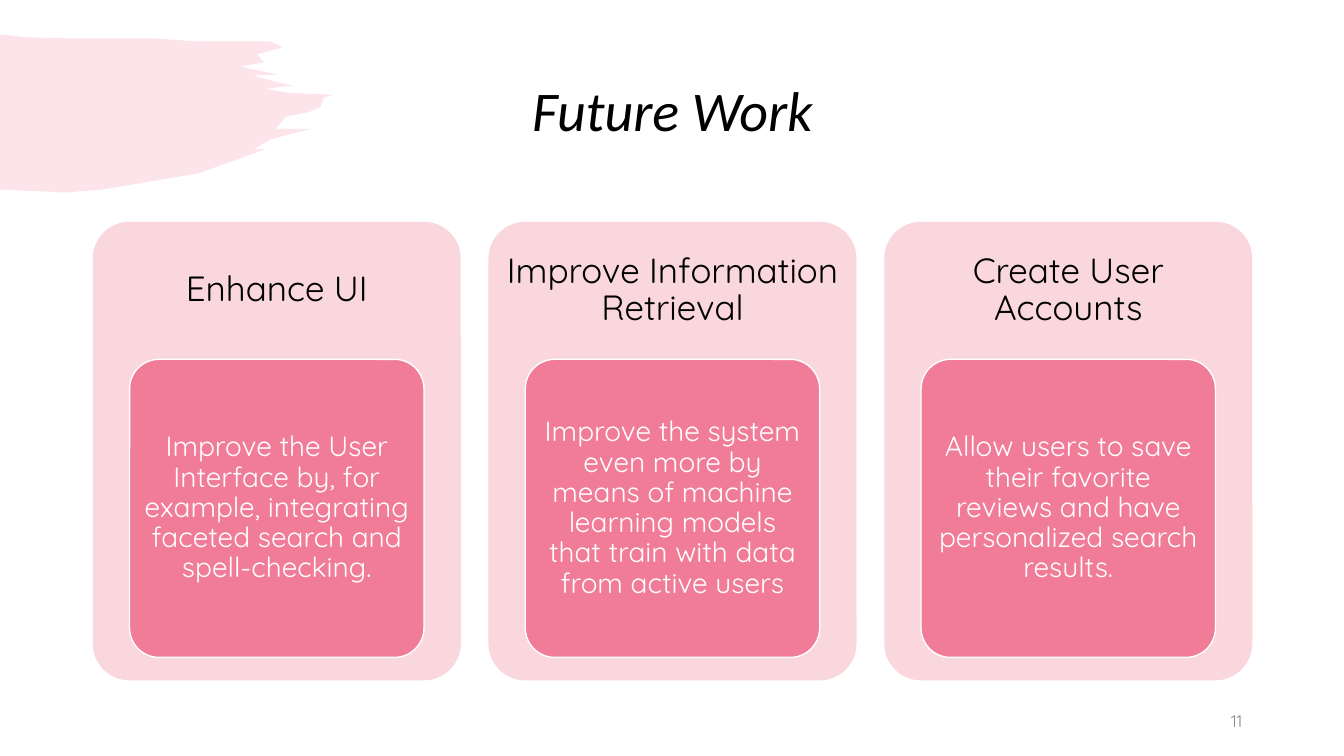
from lxml.etree import SubElement
from pptx import Presentation
from pptx.dml.color import RGBColor
from pptx.enum.shapes import MSO_SHAPE
from pptx.enum.text import MSO_ANCHOR, PP_ALIGN
from pptx.oxml.ns import qn
from pptx.util import Inches, Pt

COLORS = {"rose": "F07C98", "blush": "F9D7DD", "ink": "000000", "paper": "FFFFFF", "grey": "8C8C8C"}
BODY_FONT = "Quicksand"
WIDTH, HEIGHT = 13.33, 7.5
MARGIN, CONTENT_WIDTH = 0.92, 11.5
CARD_GAP = 0.275

CARDS = [
    ("Enhance UI",
     "Improve the User Interface by, for example, integrating faceted search and spell-checking."),
    ("Improve Information Retrieval",
     "Improve the system even more by means of machine\nlearning models that train with data from active users"),
    ("Create User Accounts",
     "Allow users to save their favorite reviews and have personalized search results."),
]

BRUSH_OUTLINE = [
    (0, 0.34), (0.25, 0.37), (0.66, 0.38), (1.51, 0.38), (1.94, 0.41), (2.68, 0.41), (2.8, 0.47),
    (2.55, 0.54), (2.62, 0.62), (2.38, 0.66), (2.75, 0.74), (2.51, 0.75), (2.73, 0.81), (2.9, 0.85),
    (2.63, 0.88), (2.85, 0.92), (3.3, 0.94), (3.21, 0.97), (3.18, 1.06), (3.07, 1.11), (2.83, 1.16),
    (2.74, 1.28), (3.08, 1.28), (2.69, 1.38), (2.52, 1.48), (2.63, 1.48), (1.97, 1.72), (1.02, 1.88),
    (0.65, 1.91), (0, 1.88),
]


def color(name):
    return RGBColor.from_string(COLORS[name])


def inches(box):
    return [Inches(length) for length in box]


def write(shape, text, size, ink, align=PP_ALIGN.CENTER, font=BODY_FONT, italic=False, inset=(0.1, 0.05), spacing=0.9):
    frame = shape.text_frame
    frame.word_wrap = True
    frame.vertical_anchor = MSO_ANCHOR.MIDDLE
    frame.margin_left = frame.margin_right = Inches(inset[0])
    frame.margin_top = frame.margin_bottom = Inches(inset[1])
    para = frame.paragraphs[0]
    para.text = text
    para.alignment = align
    para.line_spacing = spacing
    for span in para.runs:
        span.font.name = font
        span.font.size = Pt(size)
        span.font.italic = italic
        span.font.color.rgb = color(ink)


def add_panel(page, box, fill):
    panel = page.shapes.add_shape(MSO_SHAPE.ROUNDED_RECTANGLE, *inches(box))
    panel.adjustments[0] = 0.1
    panel.shadow.inherit = False
    panel.fill.solid()
    panel.fill.fore_color.rgb = color(fill)
    panel.line.fill.background()
    return panel


def add_brush_stroke(page):
    start, *outline = [inches(point) for point in BRUSH_OUTLINE]
    builder = page.shapes.build_freeform(*start)
    builder.add_line_segments(outline, close=True)
    brush = builder.convert_to_shape()
    brush.shadow.inherit = False
    brush.line.fill.background()
    brush.fill.solid()
    brush.fill.fore_color.rgb = color("rose")
    tint = brush.element.spPr.find(qn("a:solidFill"))[0]
    SubElement(tint, qn("a:alpha"), val="20000")


def add_card(page, box, heading, detail):
    left, top, width, height = box
    add_panel(page, box, "blush")
    header = page.shapes.add_textbox(*inches((left, top, width, 0.3 * height)))
    write(header, heading, 25, "ink", inset=(0.1, 0.1))
    inner = (left + 0.1 * width, top + 0.3 * height, 0.8 * width, 0.65 * height)
    panel = add_panel(page, inner, "rose")
    panel.line.color.rgb = color("paper")
    panel.line.width = Pt(1)
    write(panel, detail, 20, "paper", inset=(0.06, 0.04))


def add_card_row(page, box):
    left, top, width, height = box
    card_width = (width - CARD_GAP * (len(CARDS) - 1)) / len(CARDS)
    for index, (heading, detail) in enumerate(CARDS):
        card_left = left + index * (card_width + CARD_GAP)
        add_card(page, (card_left, top, card_width, height), heading, detail)


def build_future_work(deck):
    page = deck.slides.add_slide(deck.slide_layouts[6])
    add_brush_stroke(page)
    title = page.shapes.add_textbox(*inches((MARGIN, 0.4, CONTENT_WIDTH, 1.45)))
    write(title, "Future Work", 40, "ink", font="Calibri", italic=True)
    number = page.shapes.add_textbox(*inches((MARGIN + CONTENT_WIDTH - 3, 6.95, 3, 0.4)))
    write(number, "11", 12, "grey", align=PP_ALIGN.RIGHT, spacing=1.0)
    add_card_row(page, (MARGIN, 2.2, CONTENT_WIDTH, 4.55))


def main():
    deck = Presentation()
    deck.slide_width, deck.slide_height = inches((WIDTH, HEIGHT))
    build_future_work(deck)
    deck.save("out.pptx")


if __name__ == "__main__":
    main()
